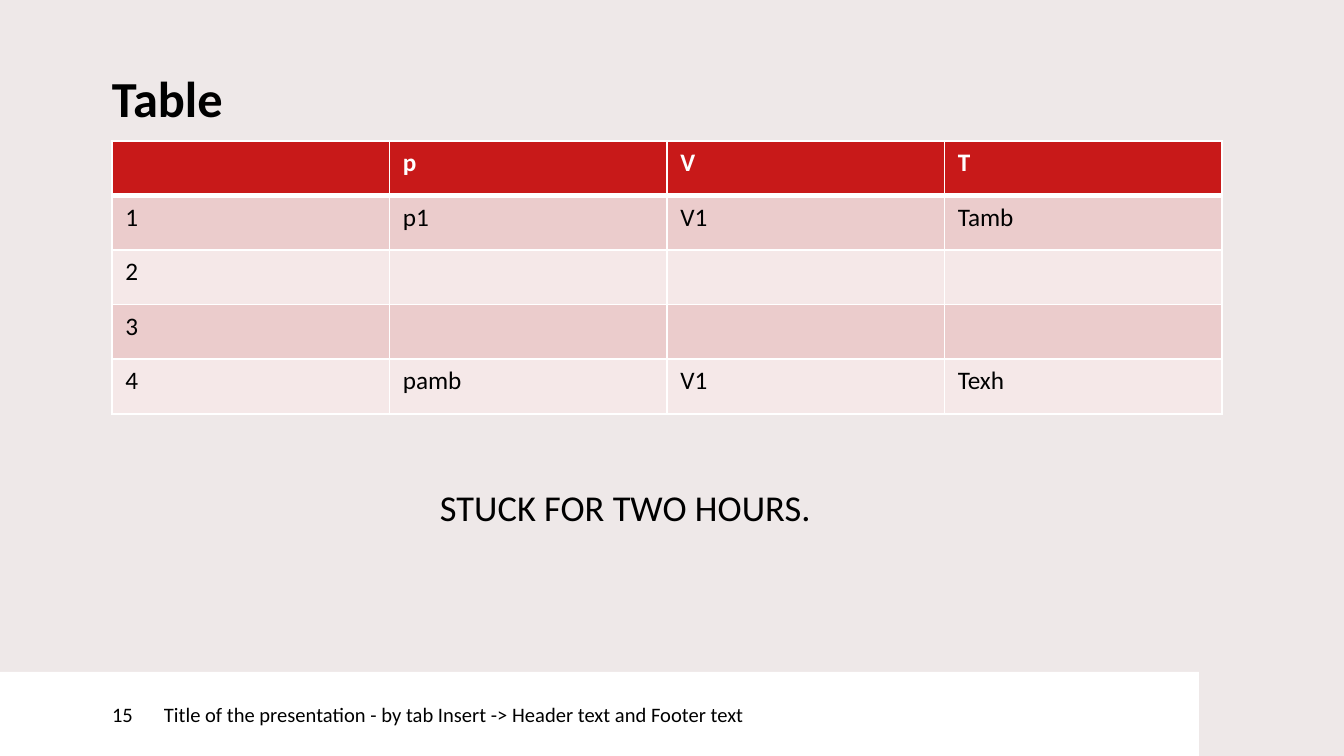
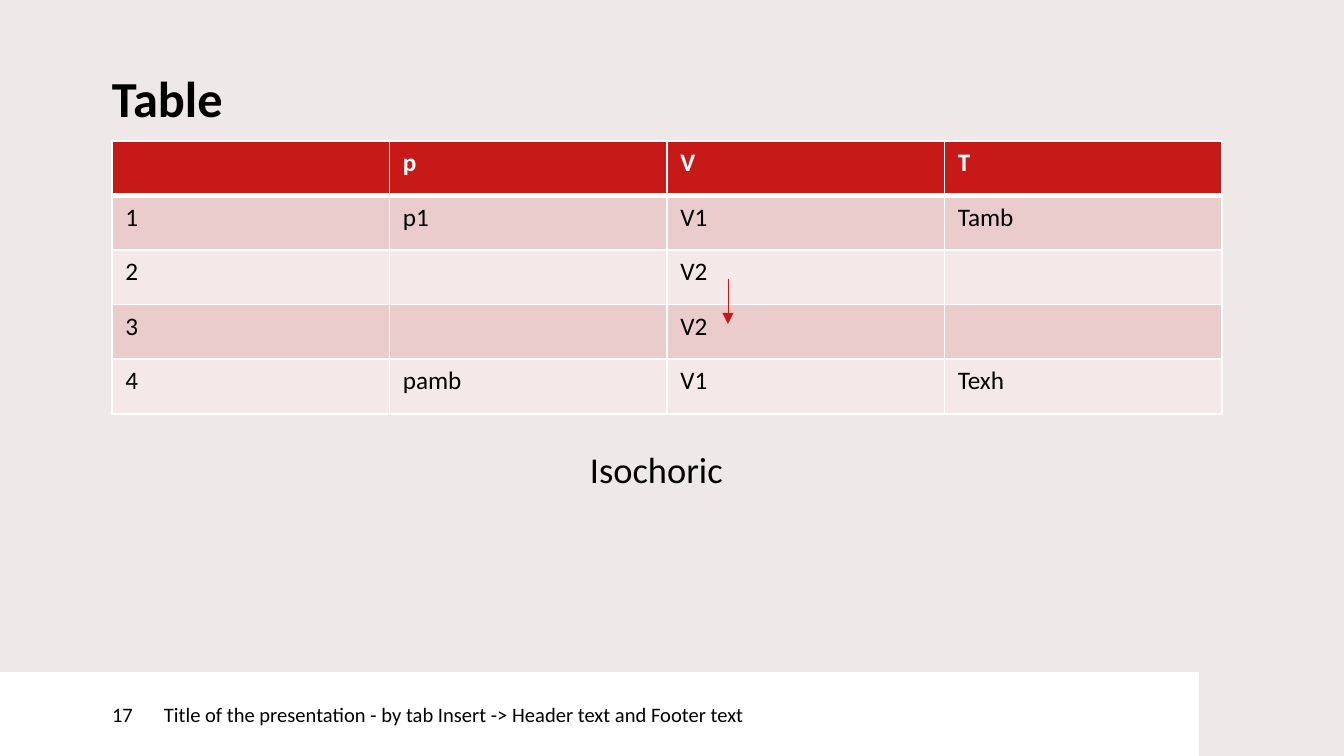
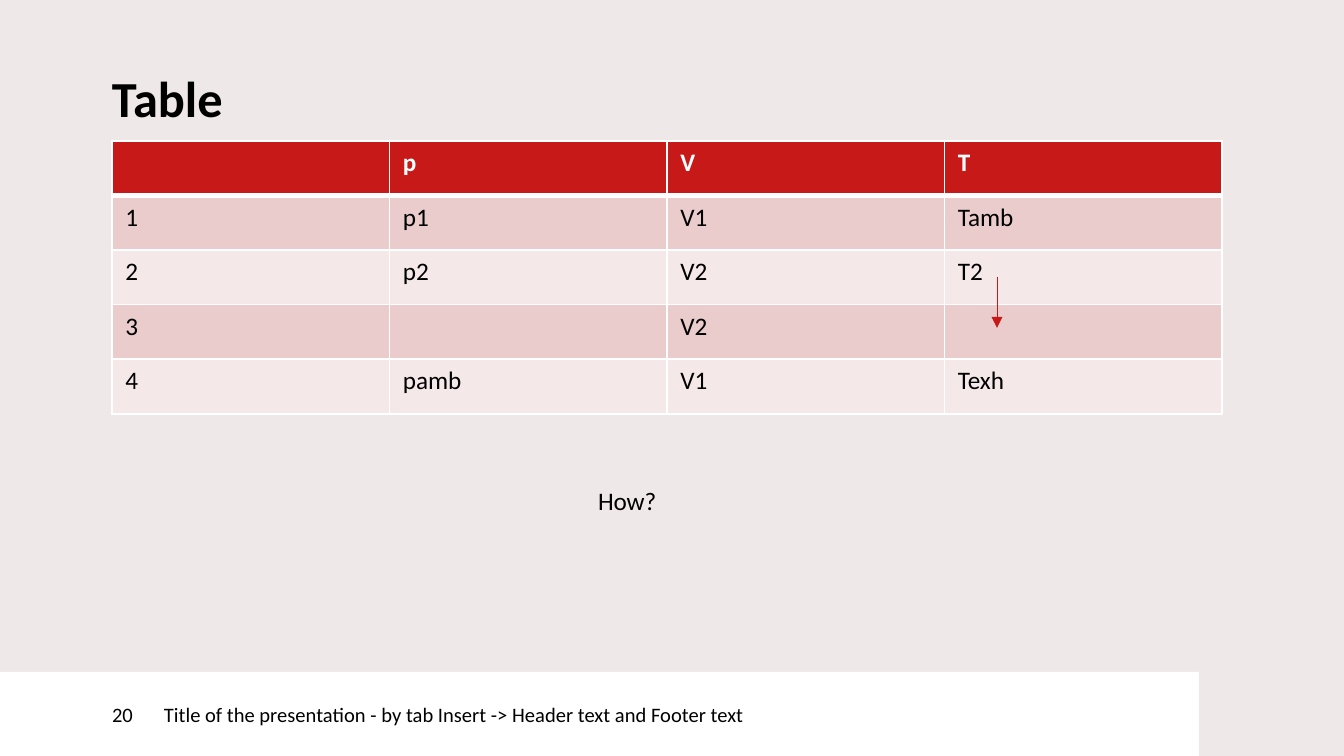
from lxml import etree
from pptx import Presentation
from pptx import util as u
from pptx.dml.color import RGBColor
from pptx.enum import shapes, text
from pptx.oxml.ns import qn

SLIDE_W, SLIDE_H = 1344, 756
SCALE = u.Inches(10) / SLIDE_W
MARGIN = 112
CONTENT_W = 1110
FOOTER_TOP = 672
FOOTER_SPLIT = 164
FOOTER_END = 1199

PAPER = RGBColor(0xEE, 0xE8, 0xE8)
WHITE = RGBColor(0xFF, 0xFF, 0xFF)
BLACK = RGBColor(0x00, 0x00, 0x00)
RED = RGBColor(0xC8, 0x19, 0x19)
BANDS = (RGBColor(0xF5, 0xE8, 0xE8), RGBColor(0xEB, 0xCC, 0xCC))

FOOTER = "Title of the presentation - by tab Insert -> Header text and Footer text"
QUANTITIES = ["", "p", "V", "T"]
START = ["1", "p1", "V1", "Tamb"]
END = ["4", "pamb", "V1", "Texh"]


def px(length):
    return u.Emu(round(length * SCALE))


class Deck:
    def __init__(self):
        self.show = Presentation()
        self.show.slide_width, self.show.slide_height = px(SLIDE_W), px(SLIDE_H)
        self.slide = None

    def new_slide(self, number):
        self.slide = self.show.slides.add_slide(self.show.slide_layouts[6])
        self.slide.background.fill.solid()
        self.slide.background.fill.fore_color.rgb = PAPER
        title = self.label("Table", MARGIN, 77, CONTENT_W, 79, 27, bold=True)
        title.text_frame.paragraphs[0].line_spacing = u.Pt(27)
        self.band(FOOTER, FOOTER_SPLIT, FOOTER_END - FOOTER_SPLIT)
        self.band(str(number), 0, FOOTER_SPLIT, indent=MARGIN)

    def add_words(self, frame, words, size, color=BLACK, bold=False):
        paragraph = frame.paragraphs[0]
        paragraph.alignment = text.PP_ALIGN.LEFT
        run = paragraph.add_run()
        run.text = words
        style = {"name": "Calibri", "size": u.Pt(size), "bold": bold}
        for key, value in style.items():
            setattr(run.font, key, value)
        run.font.color.rgb = color

    def set_frame(self, frame, left=0, top=0, anchor=text.MSO_ANCHOR.TOP):
        layout = {
            "word_wrap": True,
            "vertical_anchor": anchor,
            "margin_left": px(left),
            "margin_right": px(left if top else 0),
            "margin_top": px(top),
            "margin_bottom": px(top),
        }
        for key, value in layout.items():
            setattr(frame, key, value)

    def label(self, words, x, y, w, h, size, bold=False, inset=(0, 0)):
        box = self.slide.shapes.add_textbox(px(x), px(y), px(w), px(h))
        self.set_frame(box.text_frame, *inset)
        self.add_words(box.text_frame, words, size, bold=bold)
        return box

    def band(self, words, x, w, indent=0):
        strip = self.slide.shapes.add_shape(
            shapes.MSO_SHAPE.RECTANGLE,
            px(x), px(FOOTER_TOP), px(w), px(SLIDE_H - FOOTER_TOP),
        )
        strip.shadow.inherit = False
        strip.fill.solid()
        strip.fill.fore_color.rgb = WHITE
        strip.line.fill.background()
        self.set_frame(strip.text_frame, indent, anchor=text.MSO_ANCHOR.MIDDLE)
        self.add_words(strip.text_frame, words, 11)

    def border(self, cell, widths):
        properties = cell._tc.get_or_add_tcPr()
        for side, width in widths.items():
            edge = etree.SubElement(properties, qn(f"a:ln{side}"), w=str(u.Pt(width)))
            fill = etree.SubElement(edge, qn("a:solidFill"))
            etree.SubElement(fill, qn("a:srgbClr"), val=str(WHITE))

    def states(self, second, third):
        rows = [QUANTITIES, START, second, third, END]
        table = self.slide.shapes.add_table(
            len(rows), len(QUANTITIES), px(MARGIN), px(141), px(CONTENT_W), px(273)
        ).table
        table.first_row = table.horz_banding = False
        for r, row in enumerate(rows):
            header = r == 0
            for c, words in enumerate(row):
                cell = table.cell(r, c)
                self.border(cell, {"L": 1, "R": 1, "T": 3 if r == 1 else 1, "B": 3 if header else 1})
                cell.fill.solid()
                cell.fill.fore_color.rgb = RED if header else BANDS[r % 2]
                if words:
                    self.add_words(cell.text_frame, words, 13.5, WHITE if header else BLACK, header)

    def down_arrow(self, x, top, bottom):
        arrow = self.slide.shapes.add_connector(
            shapes.MSO_CONNECTOR.STRAIGHT, px(x), px(top), px(x), px(bottom)
        )
        arrow.line.color.rgb = RED
        arrow.line.width = u.Pt(0.5)
        etree.SubElement(arrow.line._get_or_add_ln(), qn("a:tailEnd"), type="triangle")
        etree.SubElement(arrow._element.spPr, qn("a:effectLst"))


def main():
    deck = Deck()

    deck.new_slide(15)
    deck.states(["2", "", "", ""], ["3", "", "", ""])
    deck.label("STUCK FOR TWO HOURS.", 440, 485, 1012, 130, 19.5)

    deck.new_slide(17)
    deck.states(["2", "", "V2", ""], ["3", "", "V2", ""])
    deck.down_arrow(728, 279, 324)
    deck.label("Isochoric", 590, 447, 1012, 130, 19.5)

    deck.new_slide(20)
    deck.states(["2", "p2", "V2", "T2"], ["3", "", "V2", ""])
    deck.down_arrow(997, 277, 328)
    deck.label("How?", 585, 478, 637, 45, 13.5, inset=(13, 7))

    deck.show.save("out.pptx")


if __name__ == "__main__":
    main()
